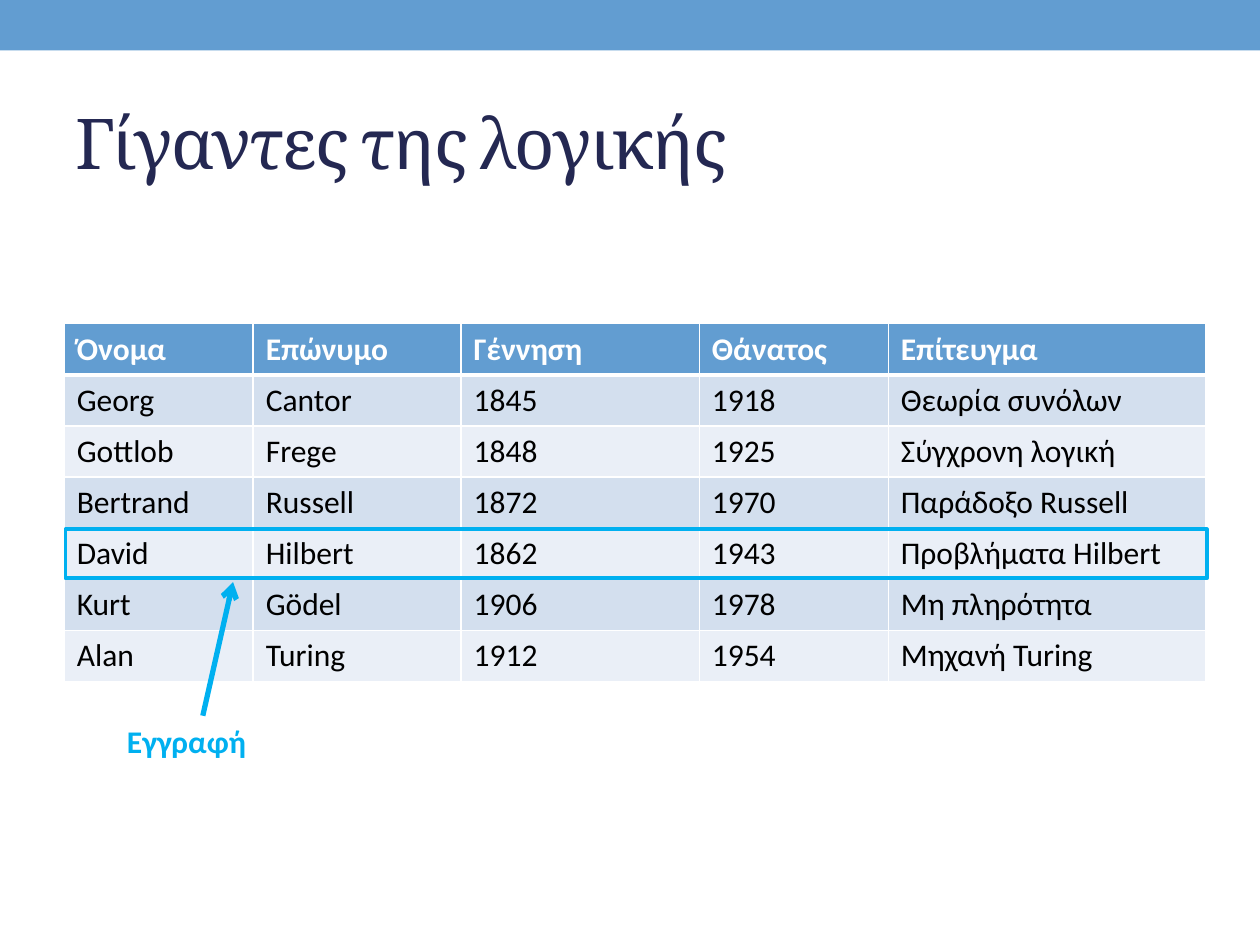
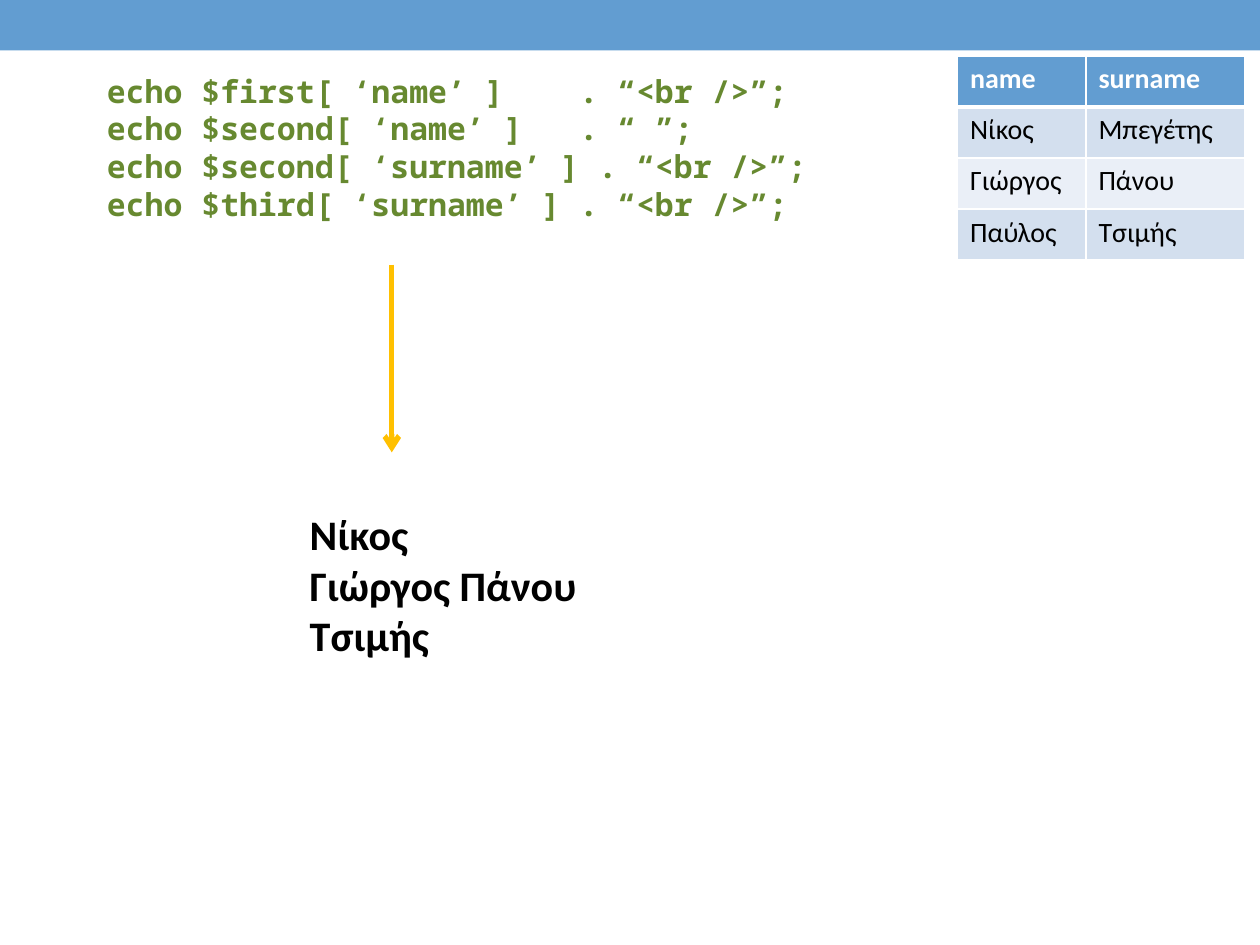
import dataclasses
import typing

import lxml.etree
import pptx
import pptx.dml.color
import pptx.enum.shapes
import pptx.enum.text
import pptx.oxml.ns
import pptx.presentation
import pptx.slide
import pptx.text.text
import pptx.util

Pt = pptx.util.Pt


# Theme: colours, fonts and type sizes
@dataclasses.dataclass(frozen=True)
class Theme:
    blue: str = "629DD1"
    navy: str = "242852"
    cyan: str = "00B0F0"
    amber: str = "FFC000"
    green: str = "678930"
    white: str = "FFFFFF"
    black: str = "000000"
    bands: tuple[str, str] = ("D3DFEE", "EAEFF7")
    body_font: str = "Calibri"
    title_font: str = "Cambria"
    code_font: str = "Noto Sans Mono"
    title_size: float = 40
    output_size: float = 24
    body_size: float = 18
    small_size: float = 16
    row_height: float = 29.2
    arrow_width: float = 3


THEME = Theme()


@dataclasses.dataclass(frozen=True)
class Box:
    left: float
    top: float
    width: float
    height: float

    def lengths(self) -> list[int]:
        return [Pt(value) for value in (self.left, self.top, self.width, self.height)]


@dataclasses.dataclass(frozen=True)
class Style:
    size: float
    color: str
    bold: bool = False
    font: str = THEME.body_font
    spacing: float = 0


@dataclasses.dataclass(frozen=True)
class Grid:
    left: float
    top: float
    columns: tuple[float, ...]
    size: float
    rows: tuple[tuple[str, ...], ...]

    def row_box(self, row: int, count: int = 1) -> Box:
        height = THEME.row_height
        return Box(self.left, self.top + row * height, sum(self.columns), count * height)


# Content
GIANTS = Grid(36.7, 185, (108, 118.8, 136.1, 108, 181.4), THEME.body_size, (
    ("Όνομα", "Επώνυμο", "Γέννηση", "Θάνατος", "Επίτευγμα"),
    ("Georg", "Cantor", "1845", "1918", "Θεωρία συνόλων"),
    ("Gottlob", "Frege", "1848", "1925", "Σύγχρονη λογική"),
    ("Bertrand", "Russell", "1872", "1970", "Παράδοξο Russell"),
    ("David", "Hilbert", "1862", "1943", "Προβλήματα Hilbert"),
    ("Kurt", "Gödel", "1906", "1978", "Μη πληρότητα"),
    ("Alan", "Turing", "1912", "1954", "Μηχανή Turing"),
))
RECORD_ROW = 4

PEOPLE = Grid(547.2, 31.9, (73.4, 90.7), THEME.small_size, (
    ("name", "surname"),
    ("Νίκος", "Μπεγέτης"),
    ("Γιώργος", "Πάνου"),
    ("Παύλος", "Τσιμής"),
))

ECHO_CODE = (
    "echo $first[ ‘name’ ]    . “<br />”;",
    "echo $second[ ‘name’ ]   . “ ”;",
    "echo $second[ ‘surname’ ] . “<br />”;",
    "echo $third[ ‘surname’ ] . “<br />”;",
)
ECHO_OUTPUT = ("Νίκος", "Γιώργος Πάνου", "Τσιμής")


# Drawing functions
def rgb(color: str) -> pptx.dml.color.RGBColor:
    return pptx.dml.color.RGBColor.from_string(color)


def write(frame: pptx.text.text.TextFrame, lines: typing.Sequence[str], style: Style) -> None:
    for index, line in enumerate(lines):
        paragraph = frame.add_paragraph() if index else frame.paragraphs[0]
        run = paragraph.add_run()
        run.text = line
        run.font.name = style.font
        run.font.size = Pt(style.size)
        run.font.bold = style.bold
        run.font.color.rgb = rgb(style.color)
        if style.spacing:
            run.font._element.set("spc", str(round(style.spacing * 100)))


def add_text(slide: pptx.slide.Slide, box: Box, lines: typing.Sequence[str],
             style: Style, middle: bool = False) -> None:
    frame = slide.shapes.add_textbox(*box.lengths()).text_frame
    frame.word_wrap = True
    if middle:
        frame.vertical_anchor = pptx.enum.text.MSO_ANCHOR.MIDDLE
    else:
        frame.auto_size = pptx.enum.text.MSO_AUTO_SIZE.SHAPE_TO_FIT_TEXT
    write(frame, lines, style)


def add_rectangle(slide: pptx.slide.Slide, box: Box, fill: str | None = None,
                  line: str | None = None, width: float = 0) -> None:
    shape = slide.shapes.add_shape(
        pptx.enum.shapes.MSO_SHAPE.RECTANGLE, *box.lengths())
    shape.shadow.inherit = False
    if fill:
        shape.fill.solid()
        shape.fill.fore_color.rgb = rgb(fill)
    else:
        shape.fill.background()
    if line:
        shape.line.color.rgb = rgb(line)
        shape.line.width = Pt(width)
    else:
        shape.line.fill.background()


def add_arrow(slide: pptx.slide.Slide, start: tuple[float, float],
              end: tuple[float, float], color: str) -> None:
    arrow = slide.shapes.add_connector(
        pptx.enum.shapes.MSO_CONNECTOR.STRAIGHT, *map(Pt, start + end))
    arrow.line.color.rgb = rgb(color)
    arrow.line.width = Pt(THEME.arrow_width)
    qn = pptx.oxml.ns.qn
    lxml.etree.SubElement(arrow.line._get_or_add_ln(), qn("a:tailEnd"), type="arrow")
    lxml.etree.SubElement(arrow._element.spPr, qn("a:effectLst"))


def add_borders(cell: typing.Any, row: int) -> None:
    qn = pptx.oxml.ns.qn
    properties = cell._tc.get_or_add_tcPr()
    # The edge below the header is thicker
    widths = {"L": 1, "R": 1, "T": 3 if row == 1 else 1, "B": 3 if row == 0 else 1}
    for side, width in widths.items():
        border = lxml.etree.SubElement(properties, qn(f"a:ln{side}"), w=str(Pt(width)))
        fill = lxml.etree.SubElement(border, qn("a:solidFill"))
        lxml.etree.SubElement(fill, qn("a:srgbClr"), val=THEME.white)


def add_grid(slide: pptx.slide.Slide, grid: Grid) -> None:
    box = grid.row_box(0, len(grid.rows))
    table = slide.shapes.add_table(
        len(grid.rows), len(grid.columns), *box.lengths()).table
    for column, width in zip(table.columns, grid.columns):
        column.width = Pt(width)
    for row, texts in enumerate(grid.rows):
        table.rows[row].height = Pt(THEME.row_height)
        header = row == 0
        fill = THEME.blue if header else THEME.bands[(row - 1) % 2]
        style = Style(grid.size, THEME.white if header else THEME.black, bold=header)
        for column, text in enumerate(texts):
            cell = table.cell(row, column)
            add_borders(cell, row)
            cell.fill.solid()
            cell.fill.fore_color.rgb = rgb(fill)
            write(cell.text_frame, [text], style)


def new_slide(deck: pptx.presentation.Presentation) -> pptx.slide.Slide:
    slide = deck.slides.add_slide(deck.slide_layouts[6])
    add_rectangle(slide, Box(0, 0, 720, 28.8), fill=THEME.blue)
    return slide


# Slides
def build_giants(deck: pptx.presentation.Presentation) -> None:
    slide = new_slide(deck)
    add_grid(slide, GIANTS)
    add_text(slide, Box(36, 41.8, 648, 77.8), ["Γίγαντες της λογικής"],
             Style(THEME.title_size, THEME.navy, font=THEME.title_font, spacing=-1),
             middle=True)
    # Marked record and its label
    record = GIANTS.row_box(RECORD_ROW)
    frame = Box(record.left + 0.7, record.top + 0.6, record.width, 28.1)
    add_rectangle(slide, frame, line=THEME.cyan, width=2.08)
    add_arrow(slide, (115.9, 409), (133.2, 332.6), THEME.cyan)
    add_text(slide, Box(65.5, 409, 187.2, 28.8), ["Εγγραφή"],
             Style(THEME.body_size, THEME.cyan, bold=True))


def build_echo(deck: pptx.presentation.Presentation) -> None:
    slide = new_slide(deck)
    add_grid(slide, PEOPLE)
    add_arrow(slide, (223.9, 151.2), (223.9, 258.5), THEME.amber)
    add_text(slide, Box(169.9, 287.3, 200.2, 94.3), ECHO_OUTPUT,
             Style(THEME.output_size, THEME.black, bold=True))
    add_text(slide, Box(54, 37.4, 487.4, 138.2), ECHO_CODE,
             Style(THEME.body_size, THEME.green, bold=True, font=THEME.code_font))


def main() -> None:
    deck = pptx.Presentation()
    deck.slide_width, deck.slide_height = Pt(720), Pt(540)
    build_giants(deck)
    build_echo(deck)
    deck.save("out.pptx")


if __name__ == "__main__":
    main()
